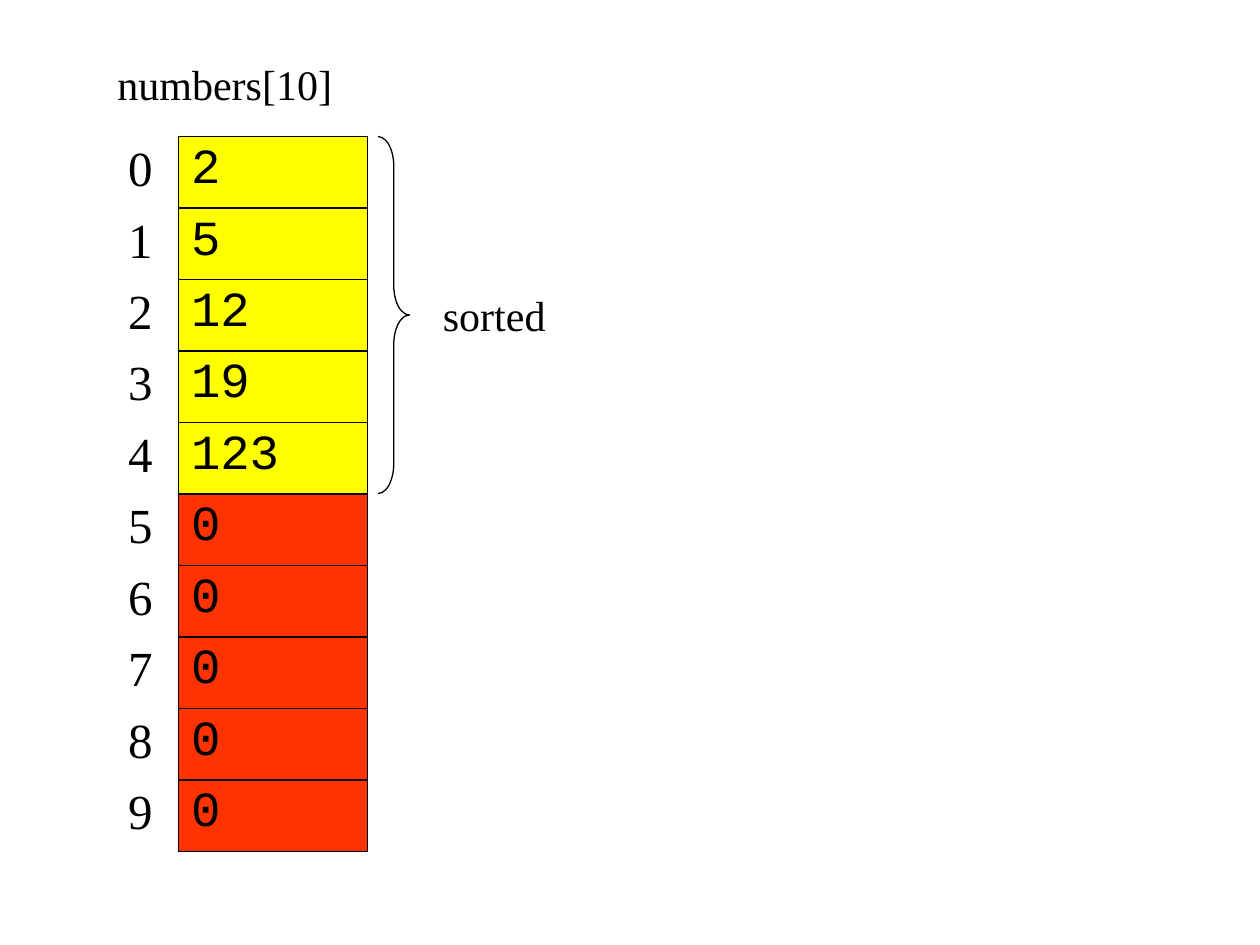
from lxml.etree import SubElement
from pptx import Presentation
from pptx.dml.color import RGBColor
from pptx.enum.shapes import MSO_SHAPE as Shape
from pptx.oxml.ns import qn
from pptx.util import Pt

BLACK = RGBColor(0x00, 0x00, 0x00)
YELLOW = RGBColor(0xFF, 0xFF, 0x00)
RED = RGBColor(0xFF, 0x33, 0x00)
SERIF = "Times New Roman"
MONO = "Courier New"
NO_STYLE = "{2D5ABB26-0587-4C30-8999-92F81FD0307C}"

VALUES = [2, 5, 12, 19, 123, 0, 0, 0, 0, 0]
SORTED_COUNT = 5
ARRAY_LEFT, ARRAY_TOP = 66, 78
INDEX_WIDTH, VALUE_WIDTH, ROW_HEIGHT = 36, 108, 40.8


def write(frame, text, font=SERIF, size=24, before=2.4):
    """Put one formatted paragraph into a text frame."""
    paragraph = frame.paragraphs[0]
    paragraph.space_before = Pt(before)
    run = paragraph.add_run()
    run.text = text
    run.font.name = font
    run.font.size = Pt(size)
    run.font.color.rgb = BLACK


def add_borders(cell, sides):
    """Draw thin black borders; call before the cell gets its fill."""
    properties = cell._tc.get_or_add_tcPr()
    for side in sides:
        border = SubElement(properties, qn(f"a:ln{side}"), w=str(Pt(1)))
        fill = SubElement(border, qn("a:solidFill"))
        SubElement(fill, qn("a:srgbClr"), val=str(BLACK))


prs = Presentation()
prs.slide_width, prs.slide_height = Pt(720), Pt(540)
slide = prs.slides.add_slide(prs.slide_layouts[6])

# Captions
for caption, left, top, width in [("numbers[10]", 60, 30, 156), ("sorted", 246, 162, 84)]:
    label = slide.shapes.add_textbox(Pt(left), Pt(top), Pt(width), Pt(36))
    label.text_frame.word_wrap = True
    write(label.text_frame, caption)

# Brace beside the sorted part
brace = slide.shapes.add_shape(
    Shape.RIGHT_BRACE, Pt(216), Pt(ARRAY_TOP), Pt(18), Pt(SORTED_COUNT * ROW_HEIGHT))
brace.adjustments[0] = 0.94
brace.adjustments[1] = 0.5
brace.shadow.inherit = False
brace.fill.background()
brace.line.color.rgb = BLACK
brace.line.width = Pt(0.75)

# Array with its indices
array = slide.shapes.add_table(
    len(VALUES), 2, Pt(ARRAY_LEFT), Pt(ARRAY_TOP),
    Pt(INDEX_WIDTH + VALUE_WIDTH), Pt(ROW_HEIGHT * len(VALUES))).table
array.first_row = array.horz_banding = False
array._tbl.tblPr.find(qn("a:tableStyleId")).text = NO_STYLE
array.columns[0].width = Pt(INDEX_WIDTH)
array.columns[1].width = Pt(VALUE_WIDTH)

for index, value in enumerate(VALUES):
    array.rows[index].height = Pt(ROW_HEIGHT)
    index_cell, value_cell = array.cell(index, 0), array.cell(index, 1)
    add_borders(index_cell, "R")
    add_borders(value_cell, "LRTB")
    index_cell.fill.background()
    value_cell.fill.solid()
    value_cell.fill.fore_color.rgb = YELLOW if index < SORTED_COUNT else RED
    write(index_cell.text_frame, str(index), size=28, before=1.1)
    write(value_cell.text_frame, str(value), font=MONO, size=28, before=1.1)

prs.save("out.pptx")
